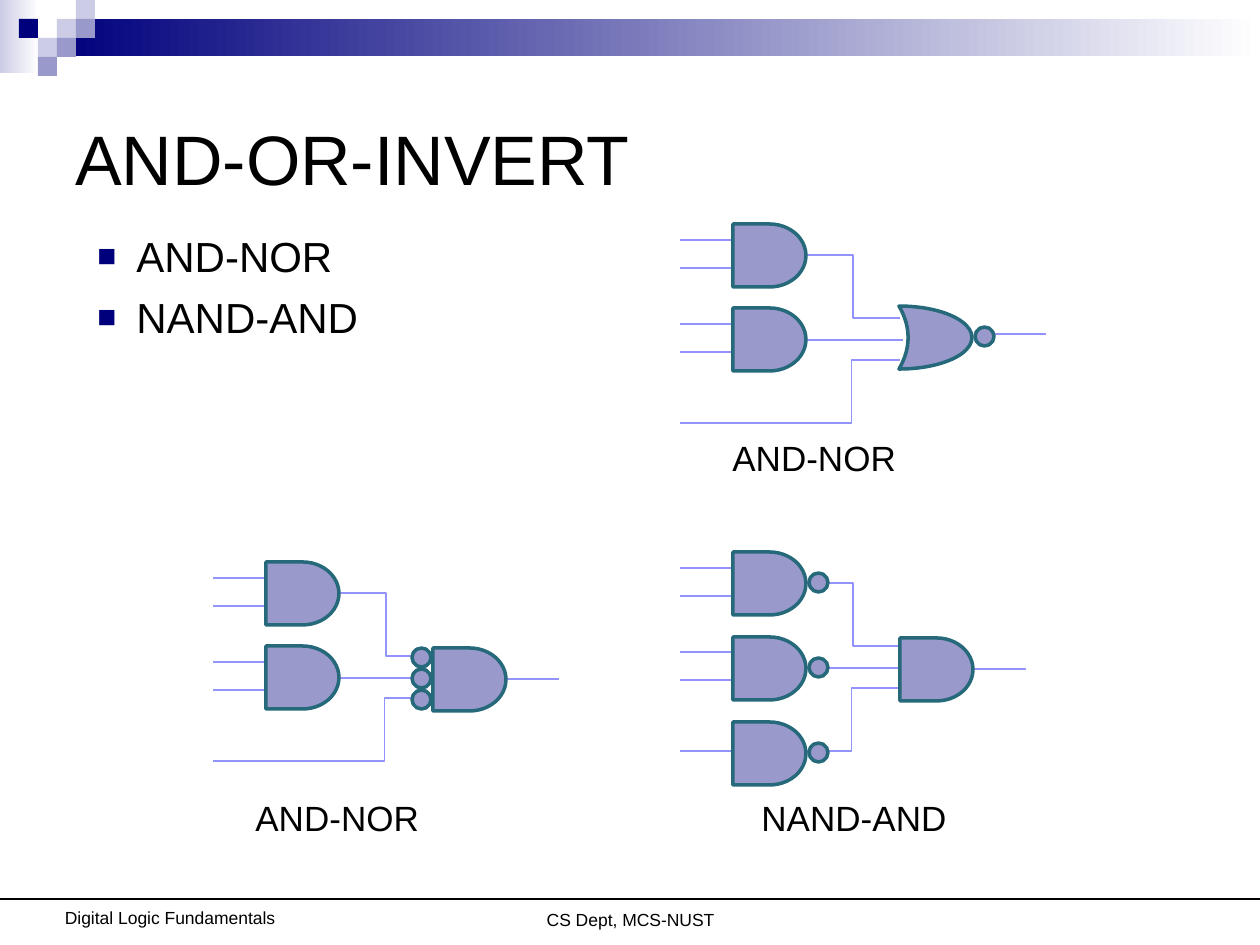
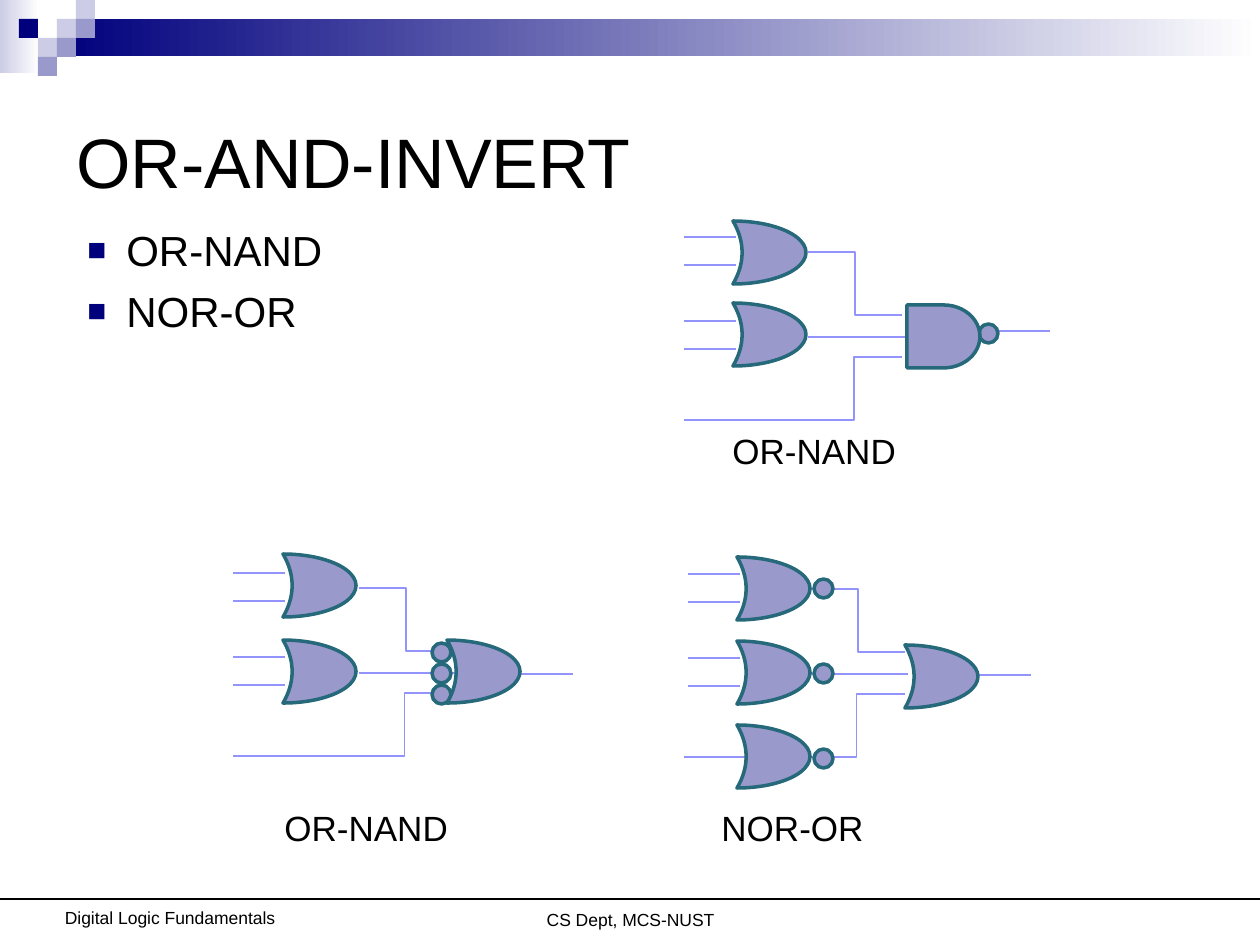
from dataclasses import dataclass

from lxml.etree import SubElement
from pptx import Presentation
from pptx.dml.color import RGBColor
from pptx.enum.shapes import MSO_CONNECTOR, MSO_SHAPE
from pptx.enum.text import MSO_ANCHOR, PP_ALIGN
from pptx.oxml.ns import qn
from pptx.util import Emu, Pt

PX_PER_INCH = 126
GATE_W, GATE_H, BUBBLE = 73, 63, 19
CELL = 19


@dataclass(frozen=True)
class Theme:
    font: str = "Arial"
    text: str = "000000"
    navy: str = "00007D"
    mid: str = "9999CC"
    light: str = "CCCCE6"
    white: str = "FFFFFF"
    outline: str = "26697A"
    wire: str = "9393FC"
    title: int = 40
    body: int = 24
    label: int = 20
    footer: int = 10
    thin: float = 0.75
    thick: float = 2


THEME = Theme()


@dataclass(frozen=True)
class Circuit:
    """Two-level gate network; offsets are from the first input's left end."""
    x: int
    y: int
    gate: str
    out: str
    bubbles: str
    gate_dx: int
    out_dx: int
    out_dy: int
    gate_top: int = -16
    pitch: int = 84
    link: int = 126
    low_dx: int = 0
    gates: int = 2


def px(n):
    return Emu(round(n * 914400 / PX_PER_INCH))


def rgb(code):
    return RGBColor.from_string(code)


def add_text(s, box, lines, size, align=PP_ALIGN.LEFT, anchor=MSO_ANCHOR.TOP,
             wrap=True, bullet=False, gap=0):
    tf = s.shapes.add_textbox(*map(px, box)).text_frame
    tf.word_wrap = wrap
    tf.vertical_anchor = anchor
    for i, line in enumerate(lines):
        p = tf.paragraphs[0] if i == 0 else tf.add_paragraph()
        if bullet:
            add_bullet(p)
        p.alignment = align
        if i:
            p.space_before = Pt(gap)
        r = p.add_run()
        r.text = line
        r.font.name = THEME.font
        r.font.size = Pt(size)
        r.font.color.rgb = rgb(THEME.text)


def add_bullet(p):
    pPr = p._p.get_or_add_pPr()
    pPr.set("marL", str(px(50)))
    pPr.set("indent", str(px(-39)))
    color = SubElement(pPr, qn("a:buClr"))
    SubElement(color, qn("a:srgbClr"), val=THEME.navy)
    SubElement(pPr, qn("a:buSzPct"), val="75000")
    SubElement(pPr, qn("a:buFont"), typeface=THEME.font)
    SubElement(pPr, qn("a:buChar"), char="■")


def add_preset(shapes, kind, box, fill, line=None):
    """Preset shape; a pair of fill colours makes a left-to-right gradient."""
    sp = shapes.add_shape(kind, *map(px, box))
    sp.shadow.inherit = False
    if isinstance(fill, tuple):
        sp.fill.gradient()
        sp.fill.gradient_angle = 0
        for stop, code in zip(sp.fill.gradient_stops, fill):
            stop.color.rgb = rgb(code)
    else:
        sp.fill.solid()
        sp.fill.fore_color.rgb = rgb(fill)
    if line:
        sp.line.color.rgb = rgb(line)
        sp.line.width = Pt(THEME.thick)
    else:
        sp.line.fill.background()
    return sp


def add_line(shapes, x1, y1, x2, y2, color=THEME.wire, bend=None):
    """Straight line, or an elbow turning at the fraction `bend` of its width."""
    kind = MSO_CONNECTOR.ELBOW if bend else MSO_CONNECTOR.STRAIGHT
    cxn = shapes.add_connector(kind, px(x1), px(y1), px(x2), px(y2))
    cxn.line.color.rgb = rgb(color)
    cxn.line.width = Pt(THEME.thin)
    spPr = cxn._element.spPr
    SubElement(spPr, qn("a:effectLst"))
    if bend:
        guides = spPr.find(qn("a:prstGeom")).find(qn("a:avLst"))
        SubElement(guides, qn("a:gd"), name="adj1",
                   fmla=f"val {round(bend * 100000)}")


def add_gate(shapes, kind, x, y):
    preset = MSO_SHAPE.MOON if kind == "OR" else MSO_SHAPE.FLOWCHART_DELAY
    sp = add_preset(shapes, preset, (x, y, GATE_W, GATE_H), THEME.mid, THEME.outline)
    if kind == "OR":
        sp.rotation = 180
        sp.adjustments[0] = 0.875


def draw_wires(shapes, c):
    for dy in (0, 28, 84, 112):
        add_line(shapes, c.x, c.y + dy, c.x + 52, c.y + dy)
    start, end = c.x + c.link, c.x + c.link + 94
    add_line(shapes, start, c.y + 15, end, c.y + 78, bend=0.5)
    add_line(shapes, start, c.y + 100, end + 3, c.y + 100)
    add_line(shapes, c.x + c.low_dx, c.y + 183, end, c.y + 120, bend=0.78)
    if c.bubbles == "output":
        lead_dx, lead_dy = 314, 94
    else:
        lead_dx, lead_dy = c.out_dx + GATE_W + 1, 101
    add_line(shapes, c.x + lead_dx, c.y + lead_dy, c.x + lead_dx + 52, c.y + lead_dy)


def draw_circuit(s, c):
    shapes = s.shapes.add_group_shape().shapes
    draw_wires(shapes, c)
    spots = {
        "output": [(295, 87)],
        "inputs": [(199, 70 + 21 * i) for i in range(3)],
        "gates": [(c.link + 3, 5 + 85 * i) for i in range(3)],
    }[c.bubbles]
    for dx, dy in spots:
        add_preset(shapes, MSO_SHAPE.FLOWCHART_CONNECTOR,
                   (c.x + dx, c.y + dy, BUBBLE, BUBBLE), THEME.mid, THEME.outline)
    for i in range(c.gates):
        add_gate(shapes, c.gate, c.x + c.gate_dx, c.y + c.gate_top + c.pitch * i)
    add_gate(shapes, c.out, c.x + c.out_dx, c.y + c.out_dy)


def draw_header(s):
    rect = MSO_SHAPE.RECTANGLE
    shapes = s.shapes.add_group_shape().shapes
    add_preset(shapes, rect, (0, 0, 39, 73), (THEME.light, THEME.white))
    add_preset(shapes, rect, (57, CELL, 1203, 37), (THEME.navy, THEME.white))
    cells = {
        THEME.light: [(3, 1), (4, 0), (2, 2)],
        THEME.mid: [(4, 1), (3, 2), (2, 3)],
        THEME.navy: [(1, 1)],
    }
    for color, spots in cells.items():
        for col, row in spots:
            add_preset(shapes, rect, (col * CELL, row * CELL, CELL, CELL), color)


def draw_footer(s):
    add_text(s, (368, 903, 525, 33), ["CS Dept, MCS-NUST"], THEME.footer,
             align=PP_ALIGN.CENTER)
    add_text(s, (44, 901, 252, 33), ["Digital Logic Fundamentals"], THEME.footer,
             align=PP_ALIGN.CENTER)
    add_line(s.shapes, 0, 899, 1260, 899, THEME.text)


def add_circuit_slide(prs, title, title_at, bullets, bullets_at, circuits, labels):
    s = prs.slides.add_slide(prs.slide_layouts[6])
    draw_header(s)
    draw_footer(s)
    add_text(s, (*title_at, 1134, 189), [title], THEME.title, anchor=MSO_ANCHOR.MIDDLE)
    add_text(s, (*bullets_at, 1033, 662), bullets, THEME.body, bullet=True, gap=6)
    for c in circuits:
        draw_circuit(s, c)
    for text, x, y, width in labels:
        add_text(s, (x, y, width, 54), [text], THEME.label, wrap=False)


def main():
    prs = Presentation()
    prs.slide_width, prs.slide_height = px(1260), px(945)
    add_circuit_slide(
        prs, "AND-OR-INVERT", (63, 63), ["AND-NOR", "NAND-AND"], (74, 224),
        [Circuit(680, 240, "AND", "OR", "output", 53, 219, 66),
         Circuit(213, 578, "AND", "AND", "inputs", 53, 220, 70),
         Circuit(680, 568, "AND", "AND", "gates", 53, 220, 70, pitch=85, gates=3)],
        [("AND-NOR", 720, 430, 189), ("AND-NOR", 243, 790, 189),
         ("NAND-AND", 749, 790, 210)])
    add_circuit_slide(
        prs, "OR-AND-INVERT", (64, 66), ["OR-NAND", "NOR-OR"], (64, 218),
        [Circuit(684, 237, "OR", "AND", "output", 49, 223, 68, pitch=82, link=124),
         Circuit(233, 573, "OR", "OR", "inputs", 50, 214, 67, gate_top=-19, pitch=86),
         Circuit(688, 574, "OR", "OR", "gates", 49, 217, 71, gate_top=-17,
                 link=123, low_dx=-4, gates=3)],
        [("OR-NAND", 720, 423, 189), ("OR-NAND", 272, 800, 189),
         ("NOR-OR", 709, 800, 168)])
    prs.save("out.pptx")


if __name__ == "__main__":
    main()
